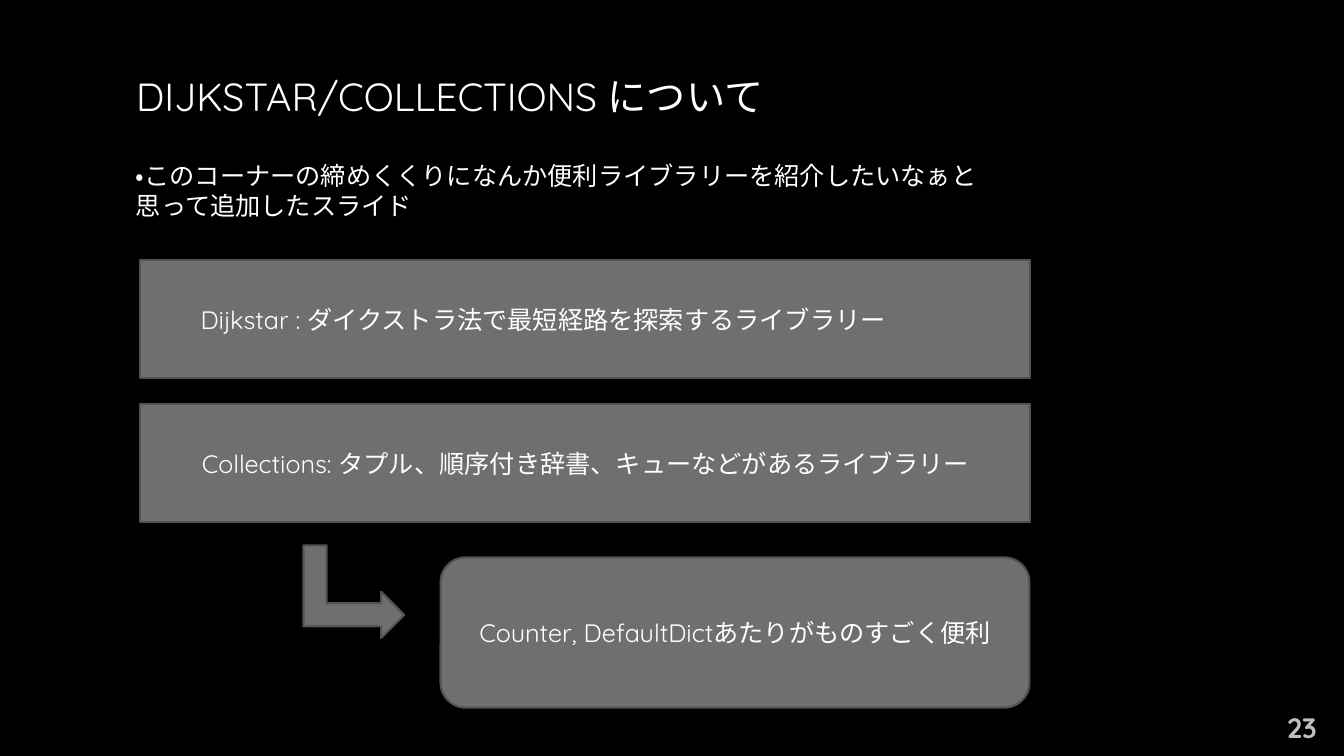
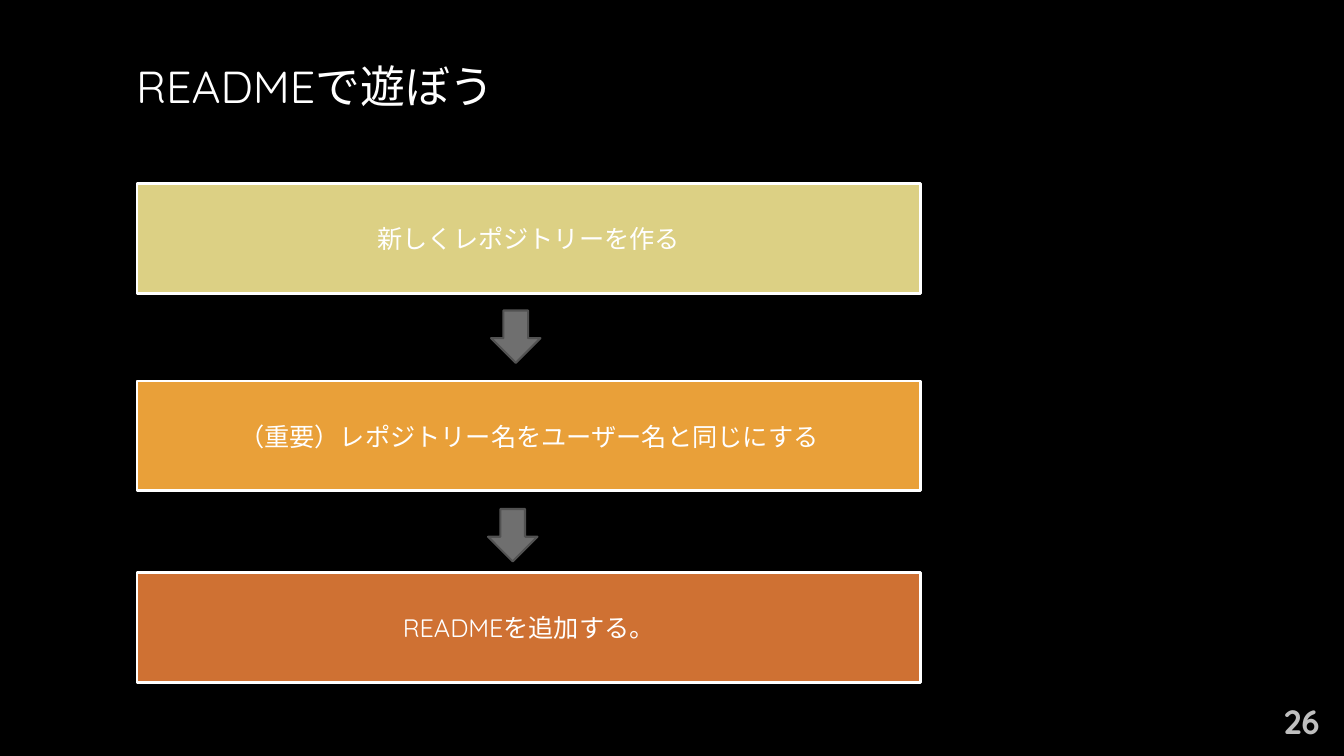
from pptx import Presentation
from pptx.dml.color import RGBColor
from pptx.enum.lang import MSO_LANGUAGE_ID as Language
from pptx.enum.shapes import MSO_SHAPE as Shape
from pptx.enum.text import MSO_ANCHOR as Anchor, MSO_AUTO_SIZE as AutoSize, PP_ALIGN as Align
from pptx.util import Emu, Pt

FONT = "Quicksand"
BLACK, WHITE, SILVER = "000000", "FFFFFF", "BFBFBF"
GRAY, DARK_GRAY = "6F6F6F", "525252"
SAND, AMBER, RUST = "DCD084", "E9A039", "CF7133"
TITLE_ONLY = 5


def px(length):
    """Turn a length in px, 100 to the inch, into EMU."""
    return Emu(length * 9144)


def paint(color_format, color):
    color_format.rgb = RGBColor.from_string(color)


def fill_solid(fill, color):
    fill.solid()
    paint(fill.fore_color, color)


class SlideBuilder:
    def __init__(self):
        self.deck = Presentation()
        self.deck.slide_width, self.deck.slide_height = px(1333), px(750)
        fill_solid(self.deck.slide_master.background.fill, BLACK)
        self.page = None

    def start_page(self, title, size, title_box, number, number_size, number_box):
        self.page = self.deck.slides.add_slide(self.deck.slide_layouts[TITLE_ONLY])
        box = self.page.shapes.title
        box.left, box.top, box.width, box.height = map(px, title_box)
        self.set_text(box, title, size)
        self.text(number_box, number, number_size, SILVER,
                  Align.RIGHT, Anchor.MIDDLE, bold=True)

    def set_text(self, box, text, size=18, color=WHITE,
                 align=Align.LEFT, anchor=Anchor.MIDDLE, bold=False):
        frame = box.text_frame
        frame.word_wrap = True
        frame.auto_size = AutoSize.NONE
        frame.vertical_anchor = anchor
        para = frame.paragraphs[0]
        para.text = text
        para.alignment = align
        para.font.name = FONT
        para.font.size = Pt(size)
        para.font.bold = bold
        para.font.language_id = Language.JAPANESE
        paint(para.font.color, color)

    def text(self, bounds, text, *style, **options):
        box = self.page.shapes.add_textbox(*map(px, bounds))
        self.set_text(box, text, *style, **options)

    def shape(self, kind, bounds, fill=GRAY, line=DARK_GRAY, line_width=1.5):
        shape = self.page.shapes.add_shape(kind, *map(px, bounds))
        shape.shadow.inherit = False
        fill_solid(shape.fill, fill)
        paint(shape.line.color, line)
        shape.line.width = Pt(line_width)
        return shape

    def panel(self, bounds, text, kind=Shape.RECTANGLE, align=Align.CENTER, **look):
        panel = self.shape(kind, bounds, **look)
        self.set_text(panel, text, align=align)
        return panel


def add_libraries(builder):
    builder.start_page("DIJKSTAR/COLLECTIONS について", 28, (125, 36, 938, 118),
                       "23", 20, (1256, 702, 60, 40))
    builder.text((125, 154, 883, 71),
                 "・このコーナーの締めくくりになんか便利ライブラリーを紹介したいなぁと"
                 "思って追加したスライド", anchor=Anchor.TOP)
    dijkstar = builder.panel((139, 258, 883, 117),
                             "Dijkstar : ダイクストラ法で最短経路を探索するライブラリー",
                             align=Align.LEFT)
    dijkstar.text_frame.margin_left = px(60)
    builder.panel((139, 401, 883, 117),
                  "Collections: タプル、順序付き辞書、キューなどがあるライブラリー")
    builder.shape(Shape.BENT_UP_ARROW, (305, 537, 92, 100)).rotation = 90
    builder.panel((437, 553, 584, 149), "Counter, DefaultDictあたりがものすごく便利",
                  kind=Shape.ROUNDED_RECTANGLE)


def add_readme_steps(builder):
    builder.start_page("READMEで遊ぼう", 32, (125, 5, 1083, 159),
                       "26", 24, (1259, 695, 60, 40))
    steps = [(182, SAND, "新しくレポジトリーを作る"),
             (378, AMBER, "（重要）レポジトリー名をユーザー名と同じにする"),
             (568, RUST, "READMEを追加する。")]
    for top, color, text in steps:
        builder.panel((136, top, 777, 109), text, fill=color, line=WHITE, line_width=2)
    for left, top in [(487, 308), (484, 505)]:
        builder.shape(Shape.DOWN_ARROW, (left, top, 49, 52))


def main():
    builder = SlideBuilder()
    add_libraries(builder)
    add_readme_steps(builder)
    builder.deck.save("out.pptx")


if __name__ == "__main__":
    main()
